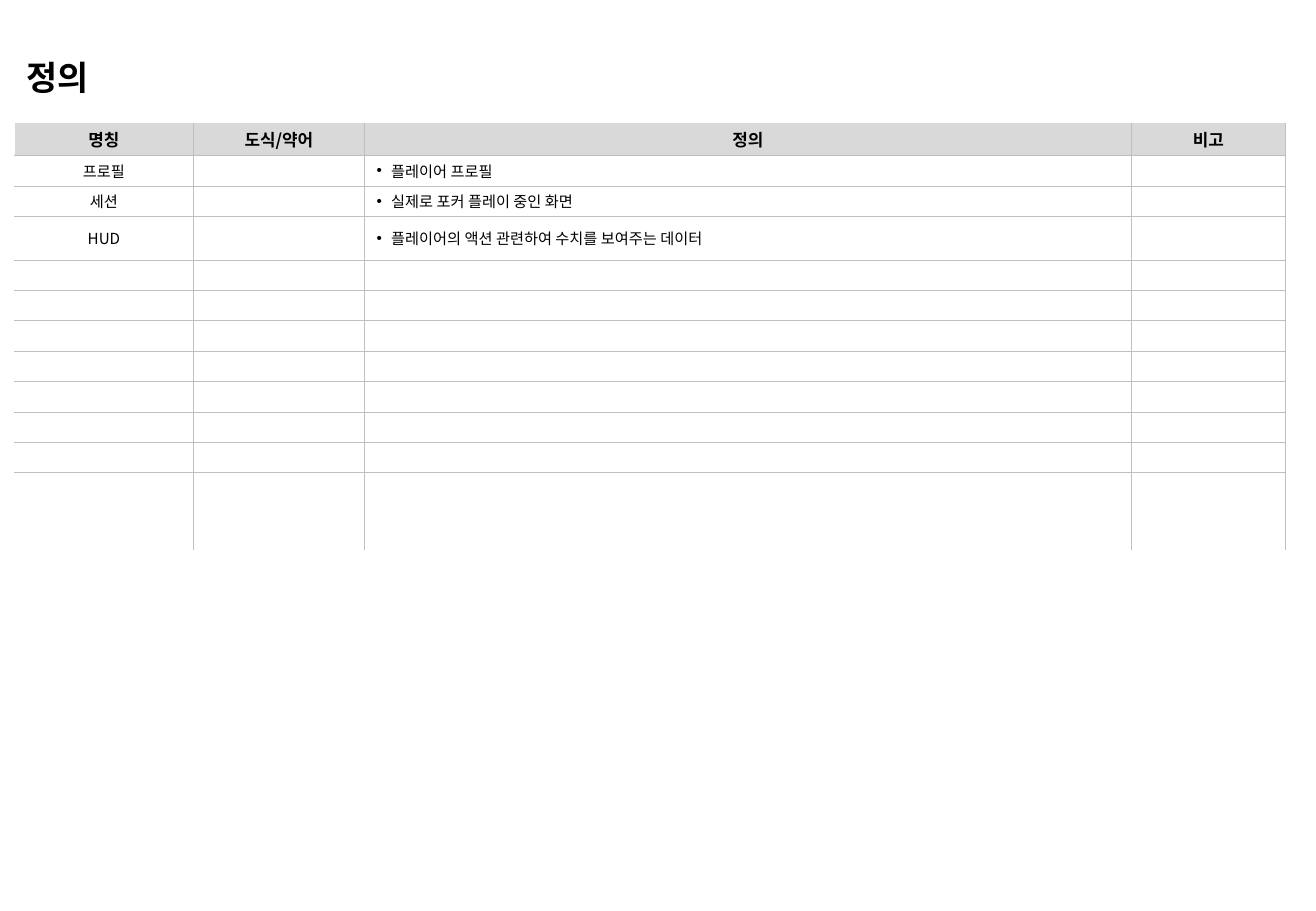
import pptx
import pptx.dml.color
import pptx.enum.text
import pptx.oxml.ns
import pptx.util
from lxml import etree

IN, PT = pptx.util.Inches, pptx.util.Pt
ALIGN, ANCHOR = pptx.enum.text.PP_ALIGN, pptx.enum.text.MSO_ANCHOR
W, H = 10.83, 7.5
FONT = "Noto Sans CJK KR"
GRID, HEAD, WHITE, BLACK = "BFBFBF", "D9D9D9", "FFFFFF", "000000"

COLS = [1.47, 1.41, 6.31, 1.27]
ROWS = [0.27, 0.25, 0.25, 0.36] + [0.25] * 7 + [0.64]
HEADINGS = ["명칭", "도식/약어", "정의", "비고"]
TERMS = [
    ("프로필", "플레이어 프로필"),
    ("세션", "실제로 포커 플레이 중인 화면"),
    ("HUD", "플레이어의 액션 관련하여 수치를 보여주는 데이터"),
]


def rgb(color):
    return pptx.dml.color.RGBColor.from_string(color)


def sub(parent, tag, **attrs):
    return etree.SubElement(parent, pptx.oxml.ns.qn(tag), attrs)


def write(tf, text, size=9, bold=False, align=ALIGN.LEFT, bullet=False):
    p = tf.paragraphs[0]
    p.alignment = align
    if bullet:
        pPr = p._p.get_or_add_pPr()
        pPr.set("marL", str(IN(0.12)))
        pPr.set("indent", str(IN(-0.12)))
        sub(pPr, "a:buFont", typeface="Arial")
        sub(pPr, "a:buChar", char="•")
    if not text:
        # An empty cell keeps its row low only with a small end mark.
        sub(p._p, "a:endParaRPr", sz=str(size * 100))
        return
    r = p.add_run()
    r.text = text
    r.font.size, r.font.bold, r.font.name = PT(size), bold, FONT
    r.font.color.rgb = rgb(BLACK)
    sub(r._r.get_or_add_rPr(), "a:ea", typeface=FONT)


def set_borders(cell, **sides):
    """Draw each side (L, R, T, B) as (colour, points), or hide it with None."""
    tcPr = cell._tc.get_or_add_tcPr()
    for side in "LRTB":
        color, width = sides[side] or (None, 0)
        ln = sub(tcPr, "a:ln" + side, w=str(PT(width)))
        if color:
            sub(sub(ln, "a:solidFill"), "a:srgbClr", val=color)
        else:
            sub(ln, "a:noFill")


def add_title(slide, text, x, y, w, h):
    sp = slide.shapes.title
    sp.left, sp.top, sp.width, sp.height = map(IN, (x, y, w, h))
    tf = sp.text_frame
    tf.word_wrap = True
    tf.auto_size = pptx.enum.text.MSO_AUTO_SIZE.NONE
    tf.vertical_anchor = ANCHOR.MIDDLE
    write(tf, text, size=20, bold=True)


def add_definitions(slide, x, y):
    table = slide.shapes.add_table(
        len(ROWS), len(COLS), IN(x), IN(y), IN(sum(COLS)), IN(sum(ROWS))
    ).table
    table.horz_banding = False
    for col, width in zip(table.columns, COLS):
        col.width = IN(width)
    for row, height in zip(table.rows, ROWS):
        row.height = IN(height)

    contents = [HEADINGS] + [(name, "", meaning, "") for name, meaning in TERMS]
    contents += [[""] * len(COLS)] * (len(ROWS) - len(contents))
    line = (GRID, 0.25)
    for i, texts in enumerate(contents):
        for j, text in enumerate(texts):
            cell, header = table.cell(i, j), i == 0
            set_borders(cell, L=line if j else (WHITE, 1), R=line,
                        T=None if header else line,
                        B=line if i < len(ROWS) - 1 else None)
            if header:
                cell.fill.solid()
                cell.fill.fore_color.rgb = rgb(HEAD)
            else:
                cell.fill.background()
            cell.margin_top = cell.margin_bottom = IN(0.02)
            cell.vertical_anchor = ANCHOR.MIDDLE
            bullet = bool(text) and j == 2 and not header
            write(cell.text_frame, text, size=10 if header else 9, bold=header,
                  align=ALIGN.LEFT if bullet else ALIGN.CENTER, bullet=bullet)


def main():
    prs = pptx.Presentation()
    prs.slide_width, prs.slide_height = IN(W), IN(H)
    slide = prs.slides.add_slide(prs.slide_layouts[5])
    add_definitions(slide, 0.12, 1.01)
    add_title(slide, "정의", 0.12, 0.41, 10.31, 0.44)
    prs.save("out.pptx")


if __name__ == "__main__":
    main()
